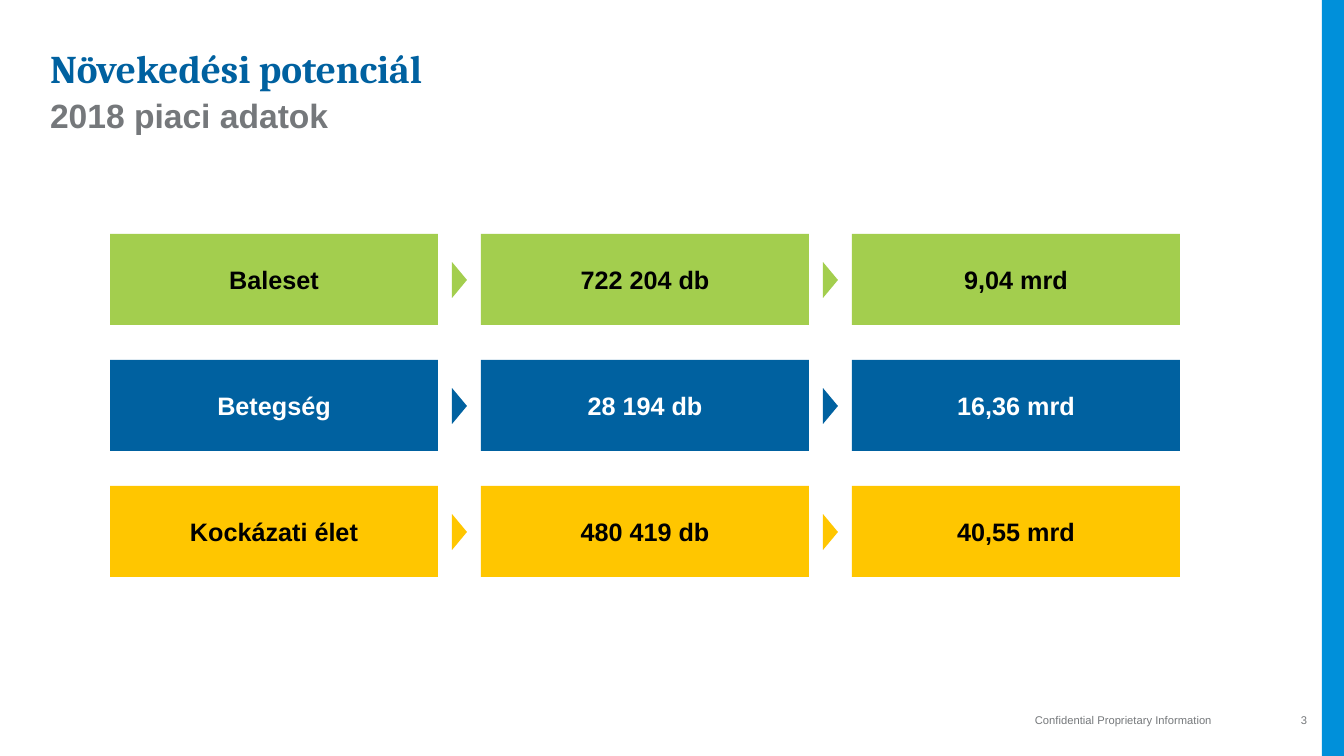
import pptx
import pptx.util
import pptx.dml.color
import pptx.enum.shapes
import pptx.enum.text

ALIGN = pptx.enum.text.PP_ALIGN
ANCHOR = pptx.enum.text.MSO_ANCHOR

THEME = {
    "green": "A3CE4E", "blue": "0061A0", "yellow": "FFC600", "bar": "0090DA",
    "gray": "75787B", "black": "000000", "white": "FFFFFF",
    "heading_font": "Cambria", "body_font": "Arial",
    "title_size": 28, "subtitle_size": 24, "cell_size": 18, "footer_size": 8,
}

TITLE = "Növekedési potenciál"
SUBTITLE = "2018 piaci adatok"
FOOTER = "Confidential Proprietary Information"
PAGE_NUMBER = "3"
ROWS = [
    ("green", "black", ["Baleset", "722 204 db", "9,04 mrd"]),
    ("blue", "white", ["Betegség", "28 194 db", "16,36 mrd"]),
    ("yellow", "black", ["Kockázati élet", "480 419 db", "40,55 mrd"]),
]

# Lengths in px
PX = 914400 / 100.8
PAGE_WIDTH, PAGE_HEIGHT = 1344, 756
BAR_WIDTH = 22
GRID_LEFT, GRID_TOP = 110, 234
CELL_WIDTH, CELL_HEIGHT = 328, 91
COLUMN_PITCH, ROW_PITCH = 371, 126
ARROW_WIDTH, ARROW_HEIGHT = 15, 36
FOOTER_TOP, FOOTER_HEIGHT = 708, 25


def emu(px):
    return pptx.util.Emu(round(px * PX))


def color(name):
    return pptx.dml.color.RGBColor.from_string(THEME[name])


def paint(shape, fill):
    shape.shadow.inherit = False
    shape.fill.solid()
    shape.fill.fore_color.rgb = color(fill)
    shape.line.fill.background()


def write(shape, text, size, ink, font="body_font", bold=True,
          align=ALIGN.CENTER, anchor=ANCHOR.MIDDLE):
    frame = shape.text_frame
    frame.text = text
    frame.word_wrap = True
    frame.vertical_anchor = anchor
    frame.margin_left = frame.margin_right = 0
    frame.margin_top = frame.margin_bottom = 0
    para = frame.paragraphs[0]
    para.alignment = align
    span = para.runs[0]
    span.font.name = THEME[font]
    span.font.size = pptx.util.Pt(THEME[size])
    span.font.bold = bold
    span.font.color.rgb = color(ink)
    return para


def add_text(page, bounds, text, size, ink, **style):
    box = page.shapes.add_textbox(*map(emu, bounds))
    return write(box, text, size, ink, **style)


def add_rectangle(page, bounds, fill):
    box = page.shapes.add_shape(
        pptx.enum.shapes.MSO_SHAPE.RECTANGLE, *map(emu, bounds))
    paint(box, fill)
    return box


def add_arrow(page, left, top, fill):
    outline = page.shapes.build_freeform(left, top, scale=PX)
    outline.add_line_segments([
        (left + ARROW_WIDTH, top + ARROW_HEIGHT / 2),
        (left, top + ARROW_HEIGHT),
    ], close=True)
    paint(outline.convert_to_shape(), fill)


def add_grid(page):
    """Place the rows of boxes, with an arrow centred in each gap."""
    gap = COLUMN_PITCH - CELL_WIDTH
    for row, (fill, ink, texts) in enumerate(ROWS):
        top = GRID_TOP + row * ROW_PITCH
        for column, text in enumerate(texts):
            left = GRID_LEFT + column * COLUMN_PITCH
            cell = add_rectangle(page, (left, top, CELL_WIDTH, CELL_HEIGHT), fill)
            write(cell, text, "cell_size", ink)
            if column:
                add_arrow(page, left - (gap + ARROW_WIDTH) / 2,
                          top + (CELL_HEIGHT - ARROW_HEIGHT) / 2, fill)


def main():
    deck = pptx.Presentation()
    deck.slide_width, deck.slide_height = emu(PAGE_WIDTH), emu(PAGE_HEIGHT)
    page = deck.slides.add_slide(deck.slide_layouts[6])

    heading = {"align": ALIGN.LEFT, "anchor": ANCHOR.TOP}
    title = add_text(page, (50, 50, 1042, 81), TITLE, "title_size", "blue",
                     font="heading_font", **heading)
    title.line_spacing = 0.9
    add_text(page, (50, 95, 900, 91), SUBTITLE, "subtitle_size", "gray", **heading)

    add_grid(page)

    add_text(page, (984, FOOTER_TOP, 279, FOOTER_HEIGHT), FOOTER,
             "footer_size", "gray", bold=False)
    add_text(page, (1264, FOOTER_TOP, 80, FOOTER_HEIGHT), PAGE_NUMBER,
             "footer_size", "gray", bold=False)
    add_rectangle(page, (PAGE_WIDTH - BAR_WIDTH, 0, BAR_WIDTH, PAGE_HEIGHT), "bar")
    deck.save("out.pptx")


if __name__ == "__main__":
    main()
